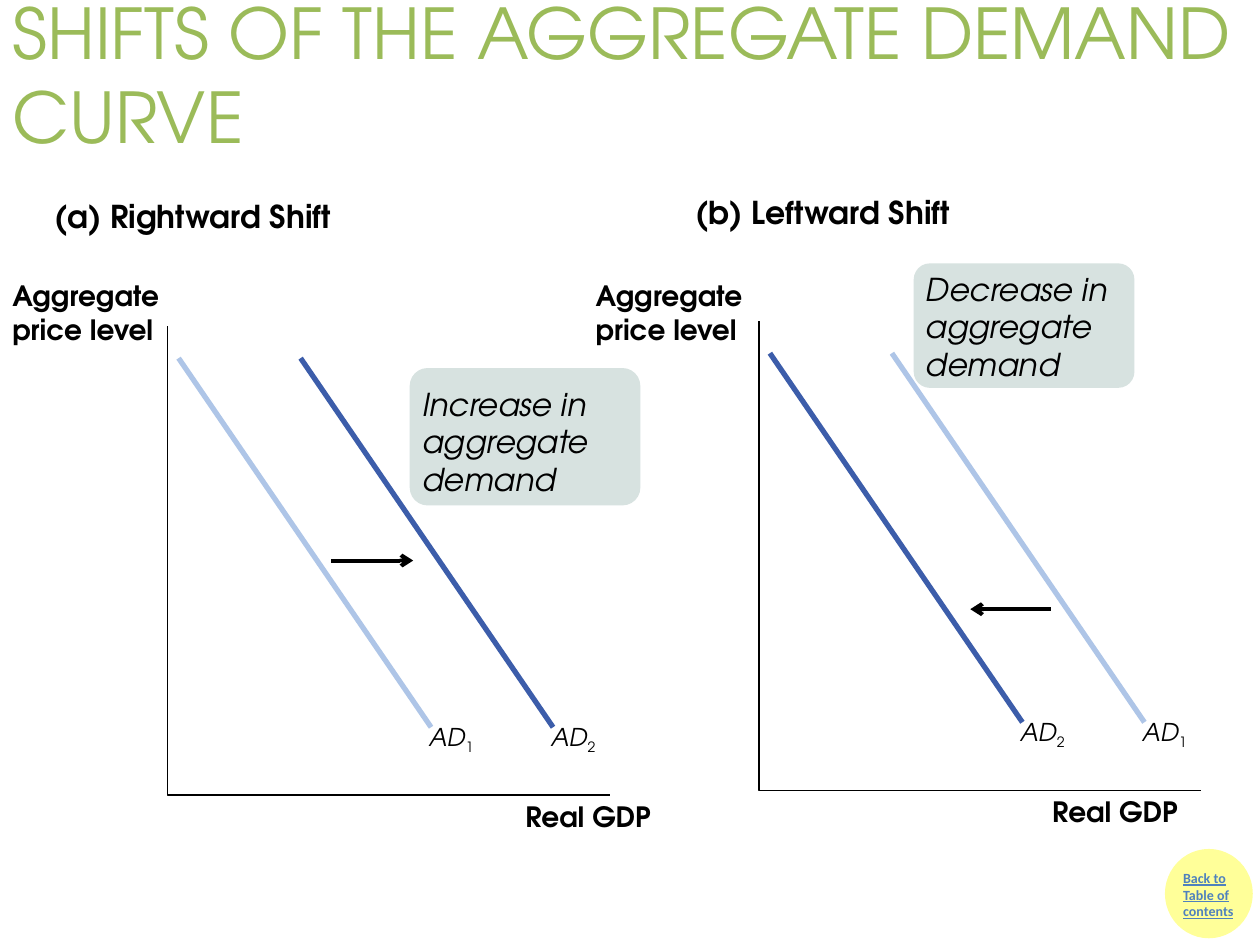
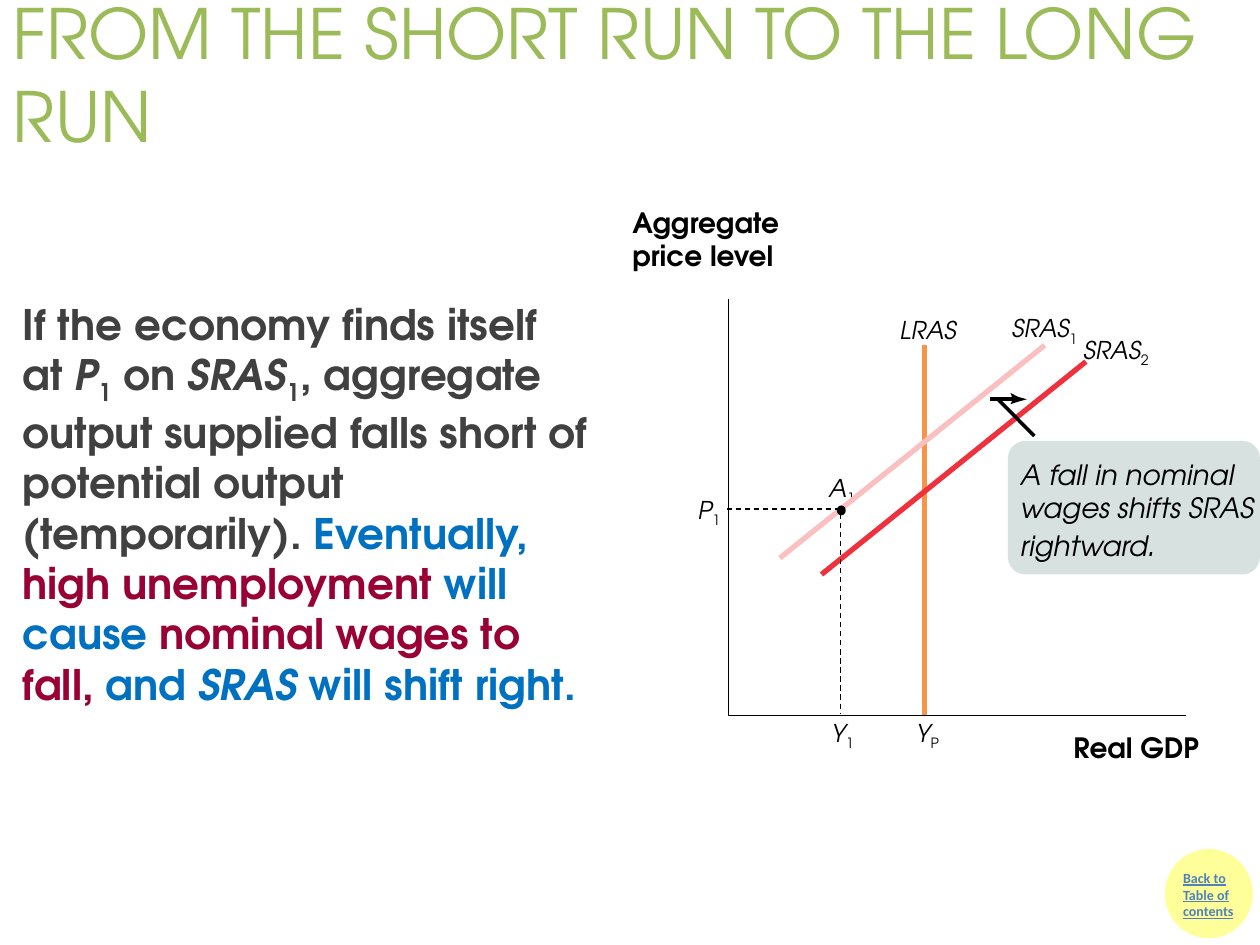
"""Build two slides on shifts of aggregate demand and short-run supply."""
from lxml.etree import SubElement
from pptx import Presentation
from pptx.dml.color import RGBColor as Rgb
from pptx.enum.dml import MSO_LINE as Dash
from pptx.enum.shapes import MSO_CONNECTOR as Link, MSO_SHAPE as Kind
from pptx.enum.text import MSO_ANCHOR as Anchor, MSO_AUTO_SIZE as Auto, PP_ALIGN as Align
from pptx.oxml.ns import qn
from pptx.util import Cm, Pt

FACE = "TeX Gyre Adventor"
HUES = {
    "black": "000000", "title": "9BBB59", "body": "404040",
    "blue": "0070C0", "wine": "990033", "link": "4F81BD",
    "badge": "FFFF99", "note": "D7E2E0",
    "old": "AEC5E7", "new": "3C5DAA",
    "long": "F79448", "pink": "FAC0BF", "red": "EE313C",
}


def hue(name):
    return Rgb.from_string(HUES[name])


def style(run, size, color="black", bold=False, italic=False, face=FACE, sub=False):
    font = run.font
    font.name, font.size = face, Pt(size)
    font.bold, font.italic = bold, italic
    font.color.rgb = hue(color)
    if sub:
        run._r.get_or_add_rPr().set("baseline", "-25000")


def add_run(para, text, size, **look):
    run = para.add_run()
    run.text = text
    style(run, size, **look)


def place(shape, x, y, w, h):
    shape.left, shape.top, shape.width, shape.height = map(Cm, (x, y, w, h))


def add_title(slide, text, size=40):
    title = slide.shapes.title
    place(title, 0, 0, 25.4, 2.97)
    frame = title.text_frame
    frame.text = text
    frame.auto_size = Auto.NONE
    frame.vertical_anchor = Anchor.MIDDLE
    frame.paragraphs[0].alignment = Align.LEFT
    style(frame.paragraphs[0].runs[0], size, "title")


def add_text(slide, text, box, size, wrap=True, **look):
    shape = slide.shapes.add_textbox(*map(Cm, box))
    frame = shape.text_frame
    frame.text = text
    frame.word_wrap = wrap
    frame.auto_size = Auto.SHAPE_TO_FIT_TEXT
    style(frame.paragraphs[0].runs[0], size, **look)
    return frame


def add_label(slide, text, sub, x, y, w):
    frame = add_text(slide, text, (x, y, w, 0.61), 14, wrap=False, italic=True)
    frame.margin_left = frame.margin_right = frame.margin_top = frame.margin_bottom = 0
    if sub:
        add_run(frame.paragraphs[0], sub, 14, sub=True)


def add_shape(slide, kind, box, fill):
    shape = slide.shapes.add_shape(kind, *map(Cm, box))
    shape.shadow.inherit = False
    shape.fill.solid()
    shape.fill.fore_color.rgb = hue(fill)
    shape.line.fill.background()
    return shape


def add_badge(slide):
    disc = add_shape(slide, Kind.OVAL, (23.52, 17.15, 1.7, 1.73), "badge")
    disc.line.color.rgb = hue("badge")
    disc.line.width = Pt(2)
    frame = add_text(slide, "Back to Table of contents", (23.6, 17.4, 1.83, 1.7), 8,
                     color="link", bold=True, face="Calibri")
    frame.paragraphs[0].runs[0].font.underline = True


def add_note(slide, lines, box, size, top):
    note = add_shape(slide, Kind.ROUNDED_RECTANGLE, box, "note")
    note.adjustments[0] = 0.13
    frame = note.text_frame
    frame.text = "\n".join(lines)
    frame.word_wrap = True
    frame.vertical_anchor = Anchor.TOP
    frame.margin_left, frame.margin_top = Cm(0.15), Cm(top)
    frame.margin_right = frame.margin_bottom = 0
    for para in frame.paragraphs:
        para.alignment = Align.LEFT
        style(para.runs[0], size, italic=True)
    return frame


def add_line(slide, start, end, color="black", width=3, dash=False, head=False):
    line = slide.shapes.add_connector(Link.STRAIGHT, *map(Cm, (*start, *end)))
    line.line.color.rgb = hue(color)
    line.line.width = Pt(width)
    if dash:
        line.line.dash_style = Dash.DASH
    if head:
        SubElement(line.line._get_or_add_ln(), qn("a:tailEnd"), type="arrow")
    SubElement(line._element.spPr, qn("a:effectLst"))


def add_path(slide, points, close):
    spots = [(Cm(x), Cm(y)) for x, y in points]
    form = slide.shapes.build_freeform(*spots[0])
    form.add_line_segments(spots[1:], close=close)
    shape = form.convert_to_shape()
    shape.shadow.inherit = False
    return shape


def add_axes(slide, left, top, right, base):
    axes = add_path(slide, [(right, base), (left, base), (left, top)], False)
    axes.fill.background()
    axes.line.color.rgb = hue("black")
    axes.line.width = Pt(0)


def name_axes(slide, price, gdp, width=3.61):
    add_text(slide, "Aggregate price level", (*price, width, 1.63), 16, bold=True)
    add_text(slide, "Real GDP", (*gdp, 4.01, 0.94), 16, bold=True)


def add_panel(slide, dx, dy, curves):
    add_axes(slide, 3.38 + dx, 6.58 + dy, 12.29 + dx, 16.03 + dy)
    for step, (sub, color) in enumerate(curves):
        x = dx + 2.46 * step
        add_line(slide, (8.69 + x, 14.66 + dy), (3.6 + x, 7.22 + dy), color)
        add_label(slide, "AD", sub, 8.65 + x, 14.55 + dy, 1.02)


def add_demand(slide):
    add_title(slide, "SHIFTS OF THE AGGREGATE DEMAND CURVE")
    add_badge(slide)
    curves = [("1", "old"), ("2", "new")]
    add_panel(slide, 0, 0, curves)
    add_panel(slide, 11.92, -0.1, curves[::-1])
    add_line(slide, (6.68, 11.3), (8.33, 11.3), width=2.25, head=True)
    add_line(slide, (21.18, 12.28), (19.56, 12.28), width=2.25, head=True)
    name_axes(slide, (0, 5.49), (10.34, 16))
    name_axes(slide, (11.76, 5.49), (20.96, 15.9))
    for text, box in (("(a) Rightward Shift", (0.84, 3.84, 6.12, 1.02)),
                      ("(b) Leftward Shift", (13.77, 3.76, 5.66, 1.02))):
        add_text(slide, text, box, 18, wrap=False, bold=True)
    add_note(slide, ["Increase in aggregate demand"], (8.26, 7.42, 4.65, 2.77), 18, 0.23)
    add_note(slide, ["Decrease in aggregate demand"], (18.42, 5.31, 4.45, 2.51), 18, 0.03)


def add_body(slide):
    body = slide.placeholders[1]
    place(body, 0.2, 5.89, 11.91, 8.46)
    body.text_frame.auto_size = Auto.NONE
    para = body.text_frame.paragraphs[0]
    props = para._p.get_or_add_pPr()
    props.set("marL", "0")
    props.set("indent", "0")
    SubElement(props, qn("a:buNone"))
    para.space_before = Pt(0)
    for text, color, look in (
        ("If the economy finds itself at ", "body", {}),
        ("P", "body", {"italic": True}),
        ("1", "body", {"sub": True}),
        (" on ", "body", {}),
        ("SRAS", "body", {"italic": True}),
        ("1", "body", {"sub": True}),
        (", aggregate output supplied falls short of potential output (temporarily). ",
         "body", {}),
        ("Eventually, ", "blue", {}),
        ("high unemployment ", "wine", {}),
        ("will cause ", "blue", {}),
        ("nominal wages to fall, ", "wine", {}),
        ("and ", "blue", {}),
        ("SRAS", "blue", {"italic": True}),
        (" will shift right.", "blue", {}),
    ):
        add_run(para, text, 24, color=color, bold=True, **look)


def add_supply(slide):
    add_title(slide, "FROM THE SHORT RUN TO THE LONG RUN", 39.6)
    add_body(slide)
    add_badge(slide)
    for label in (("Y", "1", 16.76, 14.48, 0.56), ("Y", "P", 18.47, 14.48, 0.56),
                  ("P", "1", 14.07, 9.98, 0.56), ("LRAS", "", 18.14, 6.35, 1.22),
                  ("A", "1", 16.71, 9.53, 0.56), ("SRAS", "1", 20.4, 6.32, 1.32),
                  ("SRAS", "2", 21.84, 6.76, 1.32)):
        add_label(slide, *label)
    add_line(slide, (18.64, 14.43), (18.64, 6.96), "long")
    add_line(slide, (15.72, 11.25), (21.06, 6.96), "pink")
    add_axes(slide, 14.68, 6.02, 23.9, 14.43)
    add_shape(slide, Kind.OVAL, (16.87, 10.19, 0.18, 0.2), "black")
    name_axes(slide, (12.5, 4.01), (21.39, 14.61), 4.45)
    add_line(slide, (19.96, 8.05), (20.52, 8.05), width=2.25)
    tip = add_path(slide, [(20.42, 8.05), (20.37, 7.92), (20.52, 8), (20.7, 8.05),
                           (20.52, 8.1), (20.37, 8.15)], True)
    tip.fill.solid()
    tip.fill.fore_color.rgb = hue("black")
    tip.line.fill.background()
    add_line(slide, (16.56, 11.58), (21.89, 7.29), "red")
    add_line(slide, (20.85, 8.79), (20.12, 8.05), width=0)
    note = add_note(slide, ["A fall in nominal", "wages shifts SRAS rightward"],
                    (20.32, 8.89, 5.08, 2.69), 16, 0.23)
    add_run(note.paragraphs[1], ".", 18, italic=True)
    add_line(slide, (16.94, 10.26), (14.6, 10.26), width=0.75, dash=True)
    add_line(slide, (16.94, 10.36), (16.94, 14.4), width=0.75, dash=True)


def main():
    deck = Presentation()
    deck.slide_width, deck.slide_height = Cm(25.4), Cm(19.05)
    add_demand(deck.slides.add_slide(deck.slide_layouts[5]))
    add_supply(deck.slides.add_slide(deck.slide_layouts[1]))
    deck.save("out.pptx")


if __name__ == "__main__":
    main()
